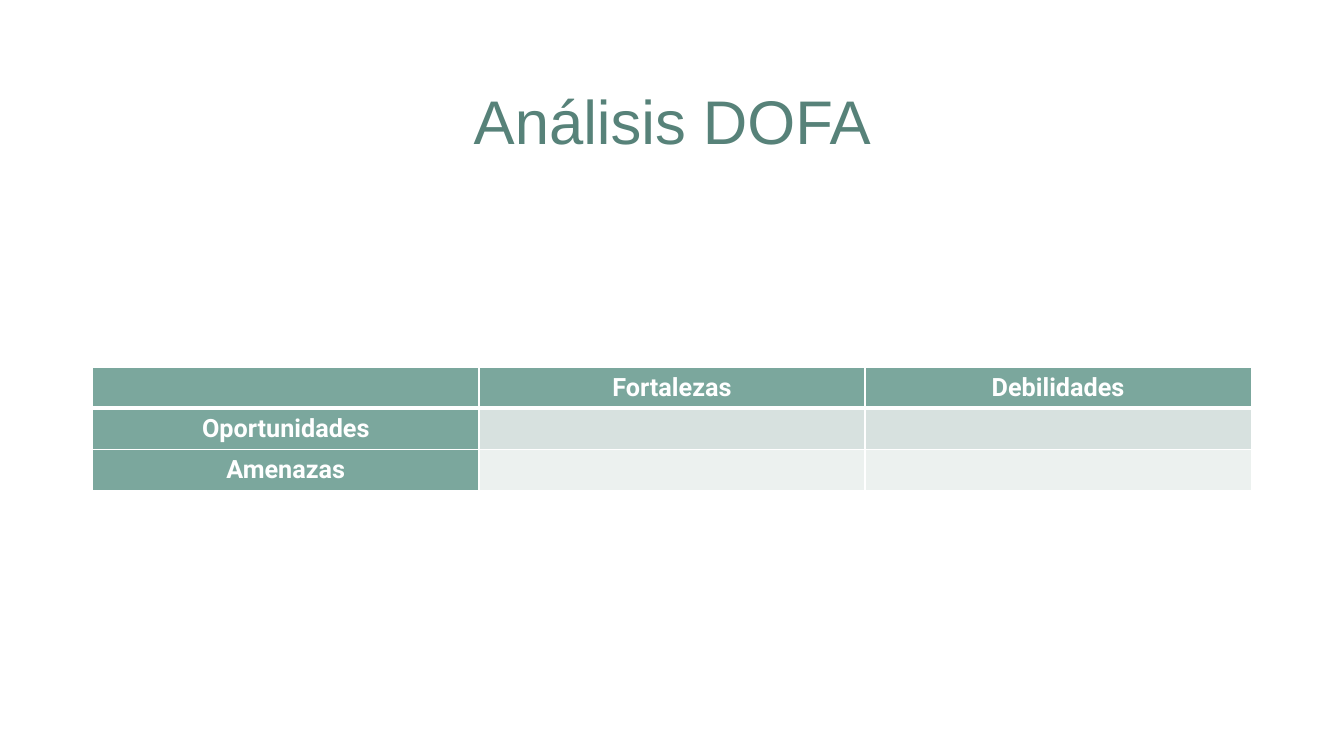
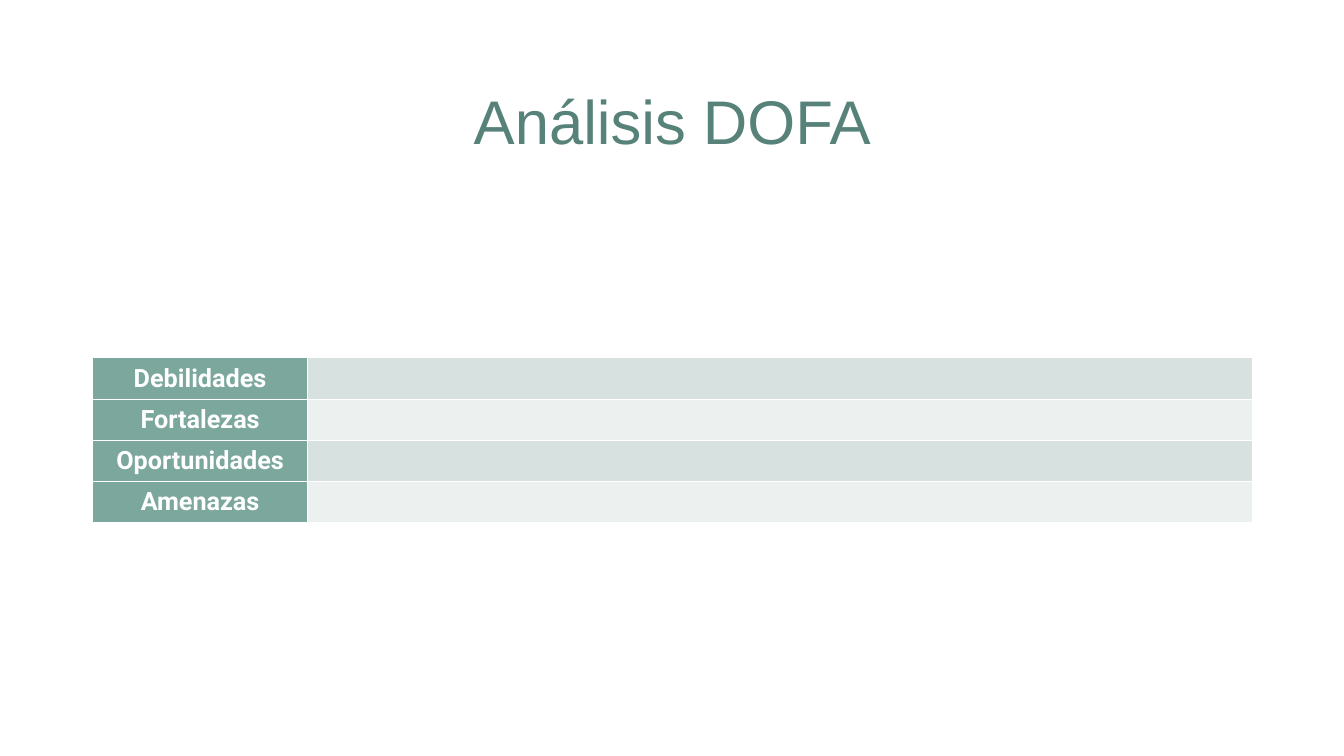
from pptx import Presentation
from pptx.dml.color import RGBColor
from pptx.enum import text
from pptx.oxml import ns, xmlchemy
from pptx.util import Inches, Pt

# Content: None marks a cell left empty
TITLE = "Análisis DOFA"
TABLES = [
    {
        "top": 3.64,
        "widths": [3.83, 3.83, 3.83],
        "header": True,
        "rows": [
            [None, "Fortalezas", "Debilidades"],
            ["Oportunidades", None, None],
            ["Amenazas", None, None],
        ],
    },
    {
        "top": 3.55,
        "widths": [2.13, 9.37],
        "header": False,
        "rows": [
            ["Debilidades", None],
            ["Fortalezas", None],
            ["Oportunidades", None],
            ["Amenazas", None],
        ],
    },
]

# Shared look
COLORS = {
    "title": "578279",
    "label": "7BA79D",
    "band_dark": "D7E1DF",
    "band_light": "ECF1EF",
    "white": "FFFFFF",
}
LEFT, WIDTH, ROW_HEIGHT = 0.92, 11.5, 0.41
TITLE_BOX = {"left": LEFT, "top": 0.62, "width": WIDTH, "height": 1.23}
TITLE_FONT = {"name": "Arial", "size": Pt(44), "bold": False}
LABEL_FONT = {"name": "Roboto", "size": Pt(18), "bold": True}
THIN, THICK = 1, 3


def color(name):
    return RGBColor.from_string(COLORS[name])


def write(frame, words, font, color_name):
    para = frame.paragraphs[0]
    para.alignment = text.PP_ALIGN.CENTER
    span = para.add_run()
    span.text = words
    for name, value in font.items():
        setattr(span.font, name, value)
    span.font.color.rgb = color(color_name)
    return para


def add_title(page):
    box = page.shapes.title
    for name, value in TITLE_BOX.items():
        setattr(box, name, Inches(value))
    box.text_frame.vertical_anchor = text.MSO_ANCHOR.MIDDLE
    write(box.text_frame, TITLE, TITLE_FONT, "title").line_spacing = 0.9


def set_borders(cell, top, bottom):
    properties = cell._tc.get_or_add_tcPr()
    sides = {"L": THIN, "R": THIN, "T": top, "B": bottom}
    for side, points in sides.items():
        line = xmlchemy.OxmlElement(f"a:ln{side}")
        line.set("w", str(Pt(points)))
        fill = xmlchemy.OxmlElement("a:solidFill")
        shade = xmlchemy.OxmlElement("a:srgbClr")
        shade.set("val", COLORS["white"])
        fill.append(shade)
        line.append(fill)
        properties.append(line)


def add_table(page, data):
    rows, widths, header = data["rows"], data["widths"], data["header"]
    table = page.shapes.add_table(
        len(rows), len(widths), Inches(LEFT), Inches(data["top"]),
        Inches(sum(widths)), Inches(ROW_HEIGHT * len(rows))).table
    table.first_row, table.first_col = header, True
    for column, width in zip(table.columns, widths):
        column.width = Inches(width)

    for r, labels in enumerate(rows):
        table.rows[r].height = Inches(ROW_HEIGHT)
        band = ("band_dark", "band_light")[(r - header) % 2]
        # The header row is parted from the body by a thick rule
        top = THICK if header and r == 1 else THIN
        bottom = THICK if header and r == 0 else THIN
        for c, label in enumerate(labels):
            cell = table.cell(r, c)
            set_borders(cell, top, bottom)
            is_label = c == 0 or (header and r == 0)
            cell.fill.solid()
            cell.fill.fore_color.rgb = color("label" if is_label else band)
            cell.vertical_anchor = text.MSO_ANCHOR.MIDDLE
            if label:
                write(cell.text_frame, label, LABEL_FONT, "white")


def main():
    deck = Presentation()
    deck.slide_width, deck.slide_height = Inches(13.33), Inches(7.5)
    title_only = deck.slide_layouts.get_by_name("Title Only")
    for data in TABLES:
        page = deck.slides.add_slide(title_only)
        add_title(page)
        add_table(page, data)
    deck.save("out.pptx")


if __name__ == "__main__":
    main()
